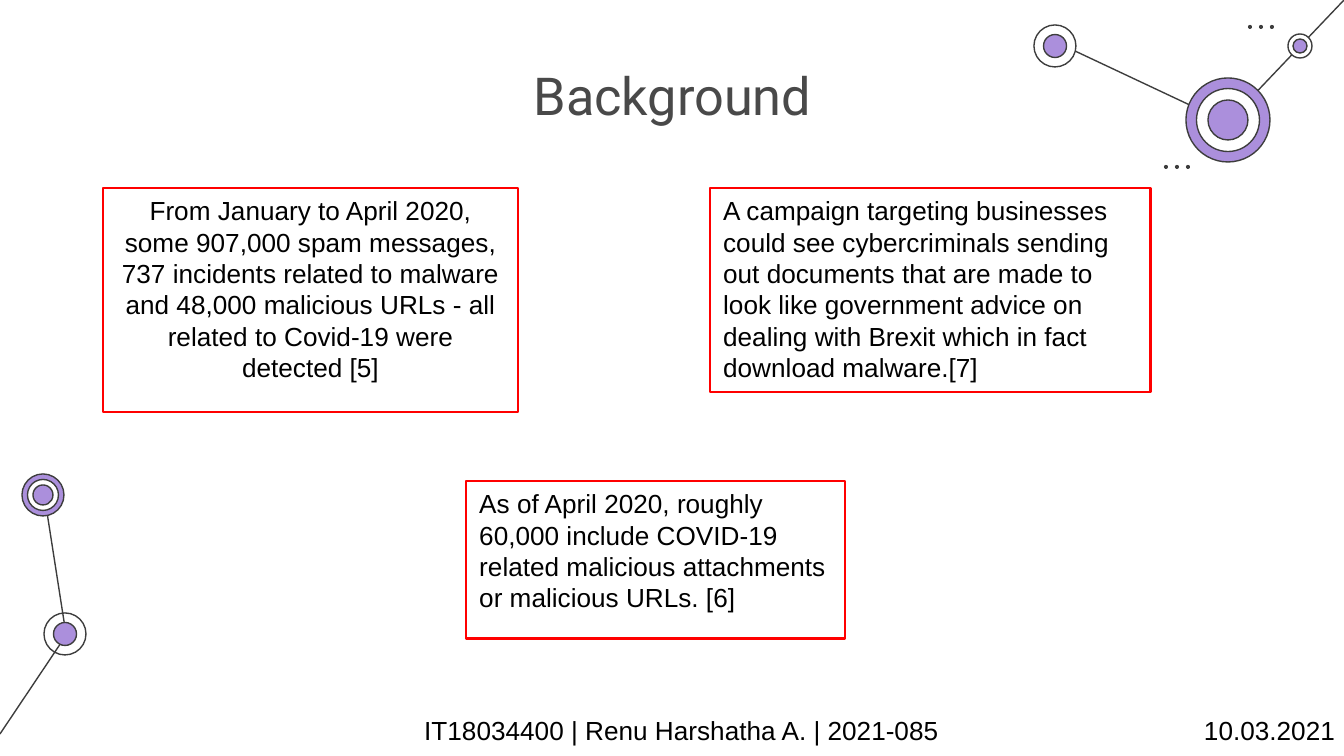
from dataclasses import dataclass

from lxml.etree import SubElement
from pptx import Presentation
from pptx.dml.color import RGBColor
from pptx.enum.shapes import MSO_CONNECTOR as Connector, MSO_SHAPE as Shape
from pptx.enum.text import MSO_ANCHOR as Anchor, PP_ALIGN as Align
from pptx.oxml.ns import qn
from pptx.util import Pt

PX = 914400 / 134.4


@dataclass(frozen=True)
class Theme:
    ink: str = "3D3D3D"
    accent: str = "AB8FDC"
    paper: str = "FFFFFF"
    frame: str = "FF0000"
    heading: str = "494949"
    text: str = "000000"
    heading_font: str = "Roboto"
    text_font: str = "Arial"
    heading_size: int = 28
    text_size: int = 14
    thin: float = 0.75
    thick: float = 1.5


THEME = Theme()

TITLE = ("Background", (372, 50, 601, 84))
FACTS = [
    ("From January to April 2020, some 907,000 spam messages, 737 incidents "
     "related to malware and 48,000 malicious URLs - all related to Covid-19 "
     "were detected [5]", (103, 188, 415, 224), Align.CENTER),
    ("As of April 2020, roughly 60,000 include COVID-19 related malicious "
     "attachments or malicious URLs. [6]", (466, 481, 379, 158), Align.LEFT),
    ("A campaign targeting businesses could see cybercriminals sending out "
     "documents that are made to look like government advice on dealing with "
     "Brexit which in fact download malware.[7]", (710, 188, 441, 204), Align.LEFT),
]
FOOTER = ("\tIT18034400 | Renu Harshatha A. | 2021-085\t10.03.2021", (8, 708, 1344, 46))
FOOTER_TABS = [(403, "l"), (1314, "r")]

LINKS = [
    ((66, 634), (44, 493)),
    ((0, 734), (65, 637)),
    ((1228, 123), (1058, 43)),
    ((1344, 0), (1228, 122)),
]
# Each node: centre, then rings from the outside in as (diameter, fill)
NODES = [
    ((65, 634), [(42, None), (23, THEME.accent)]),
    ((43, 495), [(42, THEME.accent), (31, THEME.paper), (20, THEME.accent)]),
    ((1228, 120), [(84, THEME.accent), (63, THEME.paper), (40, THEME.accent)]),
    ((1055, 46), [(42, THEME.paper), (23, THEME.accent)]),
    ((1300, 46), [(24, THEME.paper), (14, THEME.accent)]),
]
DOT_ROWS = [(1250, 27), (1166, 167)]
DOT_COUNT, DOT_PITCH, DOT_SIZE = 3, 11, 4


def emu(*lengths):
    return [round(length * PX) for length in lengths]


def rgb(code):
    return RGBColor.from_string(code)


def write(box, text, *, font=THEME.text_font, size=THEME.text_size,
          color=THEME.text, align=Align.LEFT, tabs=()):
    frame = box.text_frame
    frame.word_wrap = True
    frame.vertical_anchor = Anchor.TOP
    para = frame.paragraphs[0]
    para.alignment = align
    if tabs:
        tab_list = SubElement(para._p.get_or_add_pPr(), qn("a:tabLst"))
        for position, side in tabs:
            SubElement(tab_list, qn("a:tab"), pos=str(emu(position)[0]), algn=side)
    span = para.add_run()
    span.text = text
    span.font.name = font
    span.font.size = Pt(size)
    span.font.color.rgb = rgb(color)


def add_outlined(page, kind, area, *, fill=None, line=None, width=THEME.thin):
    shape = page.shapes.add_shape(kind, *emu(*area))
    shape.shadow.inherit = False
    if fill:
        shape.fill.solid()
        shape.fill.fore_color.rgb = rgb(fill)
    else:
        shape.fill.background()
    if line:
        shape.line.color.rgb = rgb(line)
        shape.line.width = Pt(width)
    else:
        shape.line.fill.background()
    return shape


def add_disc(page, centre, diameter, **style):
    x, y = centre
    area = (x - diameter / 2, y - diameter / 2, diameter, diameter)
    add_outlined(page, Shape.OVAL, area, **style)


def add_link(page, start, end):
    link = page.shapes.add_connector(Connector.STRAIGHT, *emu(*start, *end))
    link.line.color.rgb = rgb(THEME.ink)
    link.line.width = Pt(THEME.thin)
    SubElement(link._element.spPr, qn("a:effectLst"))


def add_network(page):
    for start, end in LINKS:
        add_link(page, start, end)
    for centre, rings in NODES:
        for diameter, fill in rings:
            add_disc(page, centre, diameter, fill=fill, line=THEME.ink)
    for x, y in DOT_ROWS:
        for index in range(DOT_COUNT):
            add_disc(page, (x + index * DOT_PITCH, y), DOT_SIZE, fill=THEME.ink)


def add_title(page):
    text, area = TITLE
    title = page.shapes.title
    title.left, title.top, title.width, title.height = emu(*area)
    frame = title.text_frame
    frame.margin_top = frame.margin_bottom = emu(13)[0]
    write(title, text, font=THEME.heading_font, size=THEME.heading_size,
          color=THEME.heading, align=Align.CENTER)


def main():
    deck = Presentation()
    deck.slide_width, deck.slide_height = emu(1344, 756)
    page = deck.slides.add_slide(deck.slide_layouts[5])
    add_network(page)
    add_title(page)
    text, area = FOOTER
    write(page.shapes.add_textbox(*emu(*area)), text, tabs=FOOTER_TABS)
    for text, area, align in FACTS:
        box = add_outlined(page, Shape.RECTANGLE, area, line=THEME.frame, width=THEME.thick)
        write(box, text, align=align)
    deck.save("out.pptx")


if __name__ == "__main__":
    main()
